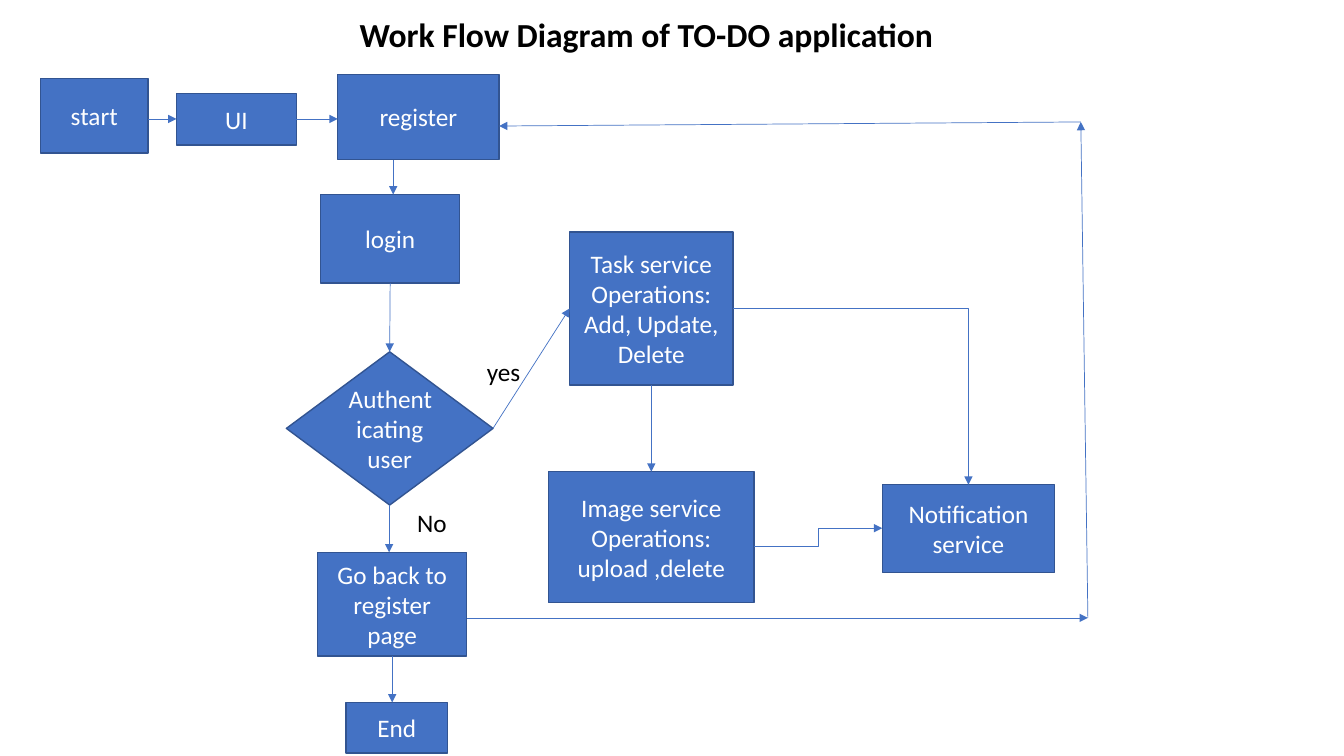
from pptx import Presentation
from pptx.dml.color import RGBColor
from pptx.enum.shapes import MSO_CONNECTOR, MSO_SHAPE
from pptx.enum.text import MSO_ANCHOR, MSO_AUTO_SIZE, PP_ALIGN
from pptx.oxml.ns import qn
from pptx.util import Inches, Pt
from lxml.etree import SubElement

BLUE = RGBColor(0x44, 0x72, 0xC4)
EDGE = RGBColor(0x32, 0x54, 0x91)
WHITE = RGBColor(0xFF, 0xFF, 0xFF)
BLACK = RGBColor(0, 0, 0)
FONT = "Calibri"

# Content: lengths in inches
TITLE = ("Work Flow Diagram of TO-DO application", 3.44, 0.09, 5.94, 0.5)

STEPS = {  # name: (text, left, top, width, height)
    "start": ("start", 0.4, 0.78, 1.07, 0.74),
    "ui": ("UI", 1.75, 0.93, 1.19, 0.51),
    "register": ("register", 3.35, 0.74, 1.6, 0.84),
    "login": ("login", 3.18, 1.93, 1.38, 0.88),
    "auth": ("Authenticating user", 2.84, 3.49, 2.05, 1.52),
    "task": ("Task service\nOperations:\nAdd, Update,\nDelete", 5.65, 2.3, 1.62, 1.52),
    "image": ("Image service\nOperations:\nupload ,delete", 5.44, 4.68, 2.04, 1.3),
    "notify": ("Notification service", 8.75, 4.81, 1.71, 0.87),
    "back": ("Go back to register page", 3.15, 5.48, 1.48, 1.03),
    "end": ("End", 3.43, 6.97, 1.01, 0.5),
}

LABELS = [("yes", 4.73, 3.49, 0.54, 0.4), ("No", 4.04, 4.98, 0.5, 0.4)]

TOP, LEFT, BOTTOM, RIGHT = range(4)
LINKS = [  # arrows joined to the middle of a side
    ("login", BOTTOM, "auth", TOP, "line"),
    ("auth", RIGHT, "task", LEFT, "line"),
    ("task", BOTTOM, "image", TOP, "line"),
    ("task", RIGHT, "notify", TOP, "bentConnector2"),
]
ARROWS = [  # arrows between free points
    (1.47, 1.18, 1.75, 1.18, "line"),
    (2.94, 1.18, 3.35, 1.18, "line"),
    (3.9, 1.59, 3.9, 1.93, "line"),
    (3.86, 5.01, 3.86, 5.48, "line"),
    (3.89, 6.51, 3.89, 6.97, "line"),
    (7.48, 5.42, 8.75, 5.24, "bentConnector3"),
    (4.63, 6.13, 10.79, 6.13, "line"),
    (10.79, 6.13, 10.72, 1.21, "line"),
    (10.72, 1.21, 4.95, 1.25, "line"),
]


def write(sp, text, size, color, align, anchor, bold=False, wrap=True):
    tf = sp.text_frame
    tf.text = text
    tf.word_wrap = wrap
    tf.vertical_anchor = anchor
    for p in tf.paragraphs:
        p.alignment = align
        for r in p.runs:
            r.font.name, r.font.size, r.font.bold = FONT, Pt(size), bold
            r.font.color.rgb = color


def add_arrow(x1, y1, x2, y2, kind):
    points = [Inches(v) for v in (x1, y1, x2, y2)]
    line = slide.shapes.add_connector(MSO_CONNECTOR.STRAIGHT, *points)
    line.line.color.rgb = BLUE
    line.line.width = Pt(0.5)
    spPr = line._element.spPr
    spPr.find(qn("a:prstGeom")).set("prst", kind)
    SubElement(spPr.find(qn("a:ln")), qn("a:tailEnd"), type="triangle")
    SubElement(spPr, qn("a:effectLst"))
    return line


prs = Presentation()
prs.slide_width, prs.slide_height = Inches(13.33), Inches(7.5)
slide = prs.slides.add_slide(prs.slide_layouts[5])

# Title
text, *box = TITLE
title = slide.shapes.title
title.left, title.top, title.width, title.height = [Inches(v) for v in box]
write(title, text, 24, BLACK, PP_ALIGN.CENTER, MSO_ANCHOR.TOP, bold=True, wrap=False)
title.text_frame.auto_size = MSO_AUTO_SIZE.NONE

# Steps
shapes = {}
for name, (text, *box) in STEPS.items():
    preset = MSO_SHAPE.DIAMOND if name == "auth" else MSO_SHAPE.RECTANGLE
    sp = slide.shapes.add_shape(preset, *[Inches(v) for v in box])
    sp.shadow.inherit = False
    sp.fill.solid()
    sp.fill.fore_color.rgb = BLUE
    sp.line.color.rgb = EDGE
    sp.line.width = Pt(1)
    write(sp, text, 18, WHITE, PP_ALIGN.CENTER, MSO_ANCHOR.MIDDLE)
    shapes[name] = sp

# Arrows
for source, source_side, target, target_side, kind in LINKS:
    line = add_arrow(0, 0, 1, 1, kind)
    line.begin_connect(shapes[source], source_side)
    line.end_connect(shapes[target], target_side)
for arrow in ARROWS:
    add_arrow(*arrow)

# Branch labels
for text, *box in LABELS:
    label = slide.shapes.add_textbox(*[Inches(v) for v in box])
    write(label, text, 18, BLACK, PP_ALIGN.LEFT, MSO_ANCHOR.TOP, wrap=False)

prs.save("out.pptx")
